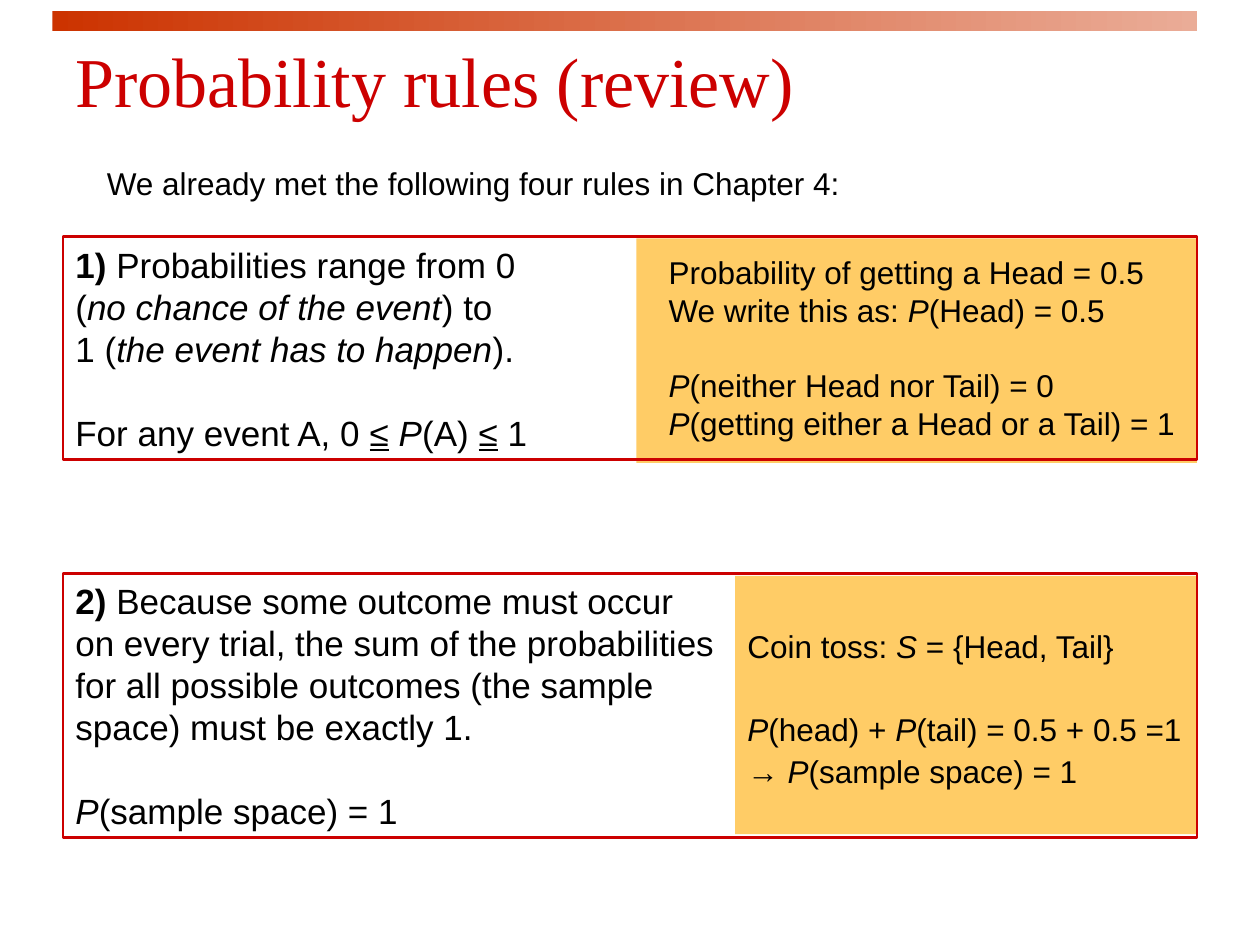
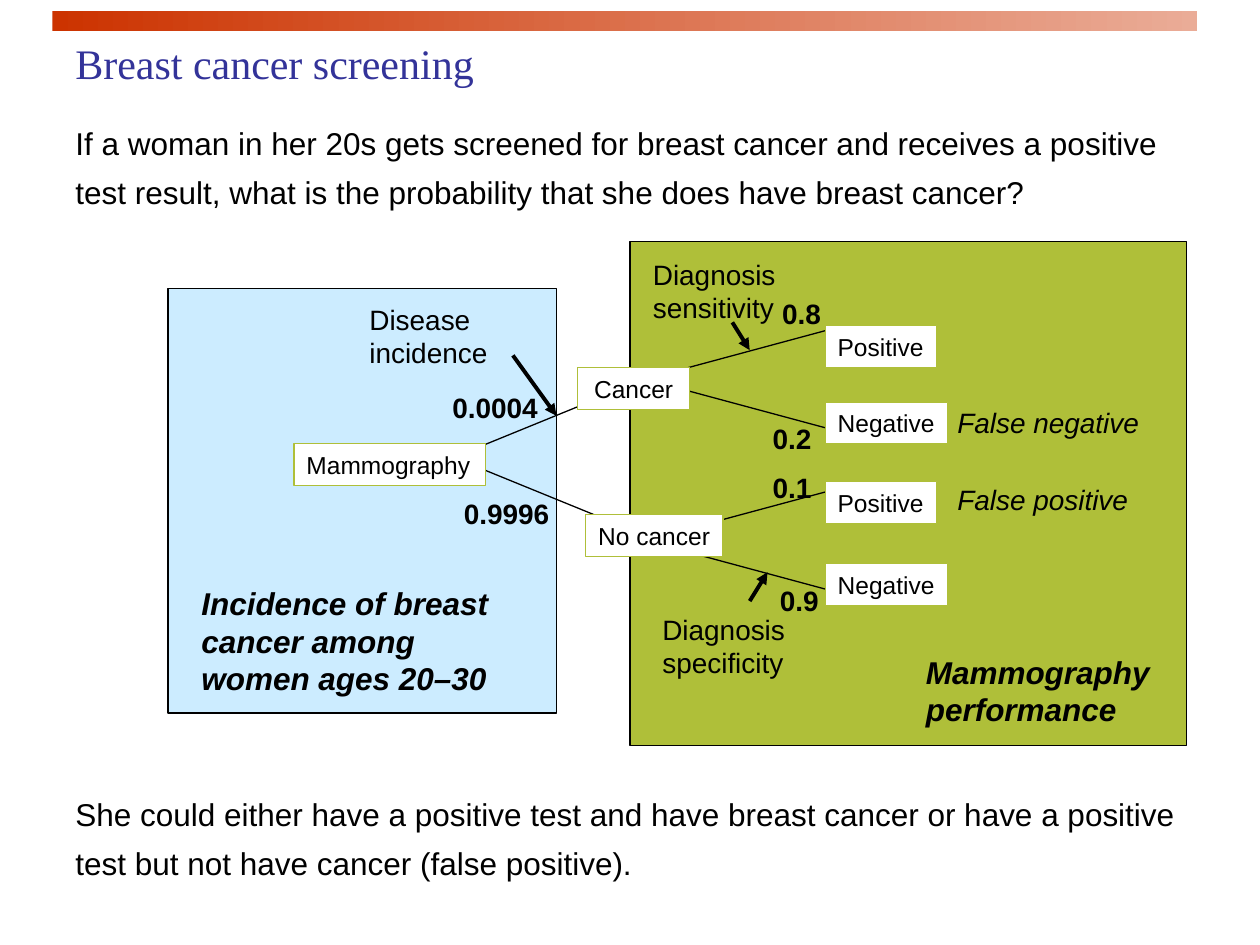
from dataclasses import dataclass

from lxml.etree import SubElement
from pptx import Presentation
from pptx.dml.color import RGBColor
from pptx.enum.shapes import MSO_CONNECTOR, MSO_SHAPE
from pptx.enum.text import MSO_ANCHOR, PP_ALIGN
from pptx.oxml.ns import qn
from pptx.util import Inches, Pt

CELLS_PER_INCH = 12


@dataclass(frozen=True)
class Theme:
    """Colours, fonts and type sizes shared by the slides."""
    red: str = "CC0000"
    blue: str = "333399"
    black: str = "000000"
    white: str = "FFFFFF"
    amber: str = "FFCC66"
    olive: str = "AFBF39"
    sky: str = "CCECFF"
    band: tuple = ("CC3300", "EAAC97")
    heading_font: str = "Times New Roman"
    body_font: str = "Arial"
    heading: int = 40
    subheading: int = 24
    rule: int = 20
    body: int = 18
    label: int = 16
    node: int = 14
    leading: float = 1.2


THEME = Theme()
MARKS = {"*": "bold", "_": "italic", "~": "underline"}


def cells(*counts):
    """Turn grid cells into slide lengths."""
    return [Inches(count / CELLS_PER_INCH) for count in counts]


def colour(code):
    """Turn a hexadecimal code into a colour."""
    return RGBColor.from_string(code)


def add_spans(para, text, looks):
    """Write marked text as spans: * is bold, _ italic, ~ underlined."""
    looks = dict(looks)
    tint = looks.pop("tint")
    styles = {}
    pending = ""
    for letter in text + "\0":
        if letter not in MARKS and letter not in "\n\0":
            pending += letter
            continue
        if pending:
            span = para.add_run()
            span.text = pending
            for name, value in {**looks, **styles}.items():
                setattr(span.font, name, value)
            span.font.color.rgb = colour(tint)
            pending = ""
        if letter in MARKS:
            styles[MARKS[letter]] = not styles.get(MARKS[letter], False)
        elif letter == "\n":
            para.add_line_break()


def write(box, text, size, tint=THEME.black, font=THEME.body_font, spacing=1,
          align=PP_ALIGN.LEFT, anchor=MSO_ANCHOR.TOP, wrap=True, top=0.6):
    """Fill a box with text whose blocks stand one line apart."""
    frame = box.text_frame
    frame.word_wrap = wrap
    frame.vertical_anchor = anchor
    frame.margin_top, frame.margin_bottom = cells(top, 0.6)
    line_height = Pt(round(size * THEME.leading * spacing, 1))
    looks = {"size": Pt(size), "name": font, "tint": tint}
    for index, block in enumerate(text.split("\n\n")):
        para = frame.add_paragraph() if index else frame.paragraphs[0]
        layout = {"alignment": align, "line_spacing": line_height,
                  "space_before": line_height if index else Pt(0)}
        for name, value in layout.items():
            setattr(para, name, value)
        add_spans(para, block, looks)


def add_text(page, place, text, size, **options):
    """Add a text box on the grid."""
    box = page.shapes.add_textbox(*cells(*place))
    write(box, text, size, **options)


def add_panel(page, place, fill=None, line=None, width=0.75):
    """Add a rectangle with an optional fill and outline."""
    panel = page.shapes.add_shape(MSO_SHAPE.RECTANGLE, *cells(*place))
    panel.shadow.inherit = False
    if fill:
        panel.fill.solid()
        panel.fill.fore_color.rgb = colour(fill)
    else:
        panel.fill.background()
    if line:
        panel.line.color.rgb = colour(line)
        panel.line.width = Pt(width)
    else:
        panel.line.fill.background()
    return panel


def add_line(page, start, end, width=0.75, arrow=False):
    """Join two grid points, with an arrowhead at the end if asked."""
    line = page.shapes.add_connector(
        MSO_CONNECTOR.STRAIGHT, *cells(*start, *end))
    line.line.color.rgb = colour(THEME.black)
    line.line.width = Pt(width)
    properties = line.element.spPr
    if arrow:
        SubElement(properties.find(qn("a:ln")), qn("a:tailEnd"), type="triangle")
    SubElement(properties, qn("a:effectLst"))


def add_node(page, left, top, width, text, align=PP_ALIGN.LEFT):
    """Add a white box of the probability tree."""
    node = add_panel(page, (left, top, width, 4), THEME.white, THEME.olive)
    write(node, text, THEME.node, align=align, wrap=False)


def add_page(deck, title, size, tint):
    """Add a blank slide with the gradient band and its title."""
    page = deck.slides.add_slide(deck.slide_layouts[6])
    band = add_panel(page, (5, 1, 109, 2))
    band.fill.gradient()
    band.fill.gradient_angle = 0
    for stop, code in zip(band.fill.gradient_stops, THEME.band):
        stop.color.rgb = colour(code)
    add_text(page, (6, 3, 108, 10), title, size, tint=tint,
             font=THEME.heading_font)
    return page


def add_rule(page, top, height, text):
    """Add a red frame that states one rule."""
    frame = add_panel(page, (6, top, 108, height), line=THEME.red, width=1.5)
    write(frame, text, THEME.rule, anchor=MSO_ANCHOR.MIDDLE)


def build_rules(deck):
    """Build the slide with the first two probability rules."""
    page = add_page(deck, "Probability rules (review)", THEME.heading, THEME.red)
    add_text(page, (9, 15, 78, 4.8),
             "We already met the following four rules in Chapter 4:", THEME.body)
    add_panel(page, (60.6, 22.7, 53.4, 21.4), THEME.amber)
    add_text(page, (62.5, 23.5, 51, 19.2),
             "Probability of getting a Head = 0.5\n"
             "We write this as: _P_(Head) = 0.5\n\n"
             "_P_(neither Head nor Tail) = 0\n"
             "_P_(getting either a Head or a Tail) = 1", THEME.body, wrap=False)
    coin = add_panel(page, (70, 54.85, 44, 24.6), THEME.amber)
    write(coin, "Coin toss: _S_ = {Head, Tail}\n\n"
          "_P_(head) + _P_(tail) = 0.5 + 0.5 =1\n→ _P_(sample space) = 1",
          THEME.body, spacing=1.1, top=4.5)
    add_rule(page, 22.55, 21.25,
             "*1)* Probabilities range from 0\n"
             "(_no chance of the event_) to\n"
             "1 (_the event has to happen_).\n\n"
             "For any event A, 0 ~≤~ _P_(A) ~≤~ 1")
    add_rule(page, 54.6, 25.2,
             "*2)* Because some outcome must occur\n"
             "on every trial, the sum of the probabilities\n"
             "for all possible outcomes (the sample\n"
             "space) must be exactly 1.\n\n"
             "_P_(sample space) = 1")


def add_tree(page):
    """Draw the branches and nodes of the screening tree."""
    root, fork_column, leaf_column = (43.2, 43.56), 61.44, 79.7
    for root_end, fork_row in ((36.12, 36.12), (51, 51.48)):
        add_line(page, root, (fork_column, root_end))
        for offset in (-4.92, 4.92):
            add_line(page, (fork_column, fork_row),
                     (leaf_column, fork_row + offset))
    add_node(page, 55, 35, 10.7, "Cancer", PP_ALIGN.CENTER)
    add_node(page, 55.75, 49, 13.1, "No cancer", PP_ALIGN.CENTER)
    add_node(page, 28, 42.25, 18.25, "Mammography")
    for top, width, result in ((31, 10.6, "Positive"), (38.3, 11.65, "Negative"),
                               (45.85, 10.6, "Positive"), (53.65, 11.65, "Negative")):
        add_node(page, 78.6, top, width, result)


def add_tree_labels(page):
    """Name the branches of the tree and give their probabilities."""
    for left, top, text in ((34, 28.2, "Disease incidence"),
                            (61, 23.9, "Diagnosis sensitivity"),
                            (61.9, 57.7, "Diagnosis specificity")):
        add_text(page, (left, top, 15.2, 7.5), text, THEME.label)
    for start, end in (((48.85, 33.85), (53, 39.6)),
                       ((69.75, 30.7), (71.4, 33.35)),
                       ((71.4, 57.25), (73.1, 54.5))):
        add_line(page, start, end, width=2.25, arrow=True)
    for top, text in ((38, "_False negative_"), (45.4, "_False positive_")):
        add_text(page, (90, top, 20.3, 4.4), text, THEME.label)
    for left, top, width, chance in ((41.9, 36.6, 10.6, "0.0004"),
                                     (43, 46.7, 10.6, "0.9996"),
                                     (73.3, 27.6, 6.1, "0.8"),
                                     (72.4, 39.5, 6.1, "0.2"),
                                     (72.4, 44.2, 6.1, "0.1"),
                                     (73.1, 55, 6.1, "0.9")):
        add_text(page, (left, top, width, 4.4), f"*{chance}*", THEME.label,
                 wrap=False)


def build_screening(deck):
    """Build the slide with the breast cancer screening tree."""
    page = add_page(deck, "Breast cancer screening", THEME.subheading, THEME.blue)
    add_panel(page, (60, 23, 53, 48), THEME.olive, THEME.black)
    add_panel(page, (16, 27.5, 37, 40.4), THEME.sky, THEME.black)
    add_tree(page)
    add_tree_labels(page)
    add_text(page, (18, 55, 33.25, 12),
             "*_Incidence of breast cancer among women ages 20–30_*", THEME.body)
    add_text(page, (87, 61.55, 25, 8.4), "*_Mammography performance_*", THEME.body)
    for top, text in (
            (10.1, "If a woman in her 20s gets screened for breast cancer and "
             "receives a positive test result, what is the probability that "
             "she does have breast cancer?"),
            (74, "She could either have a positive test and have breast cancer "
             "or have a positive test but not have cancer (false positive).")):
        add_text(page, (6, top, 110, 10.5), text, THEME.body, spacing=1.3)


def main():
    """Build and save the deck."""
    deck = Presentation()
    deck.slide_width, deck.slide_height = cells(120, 90)
    build_rules(deck)
    build_screening(deck)
    deck.save("out.pptx")


if __name__ == "__main__":
    main()
